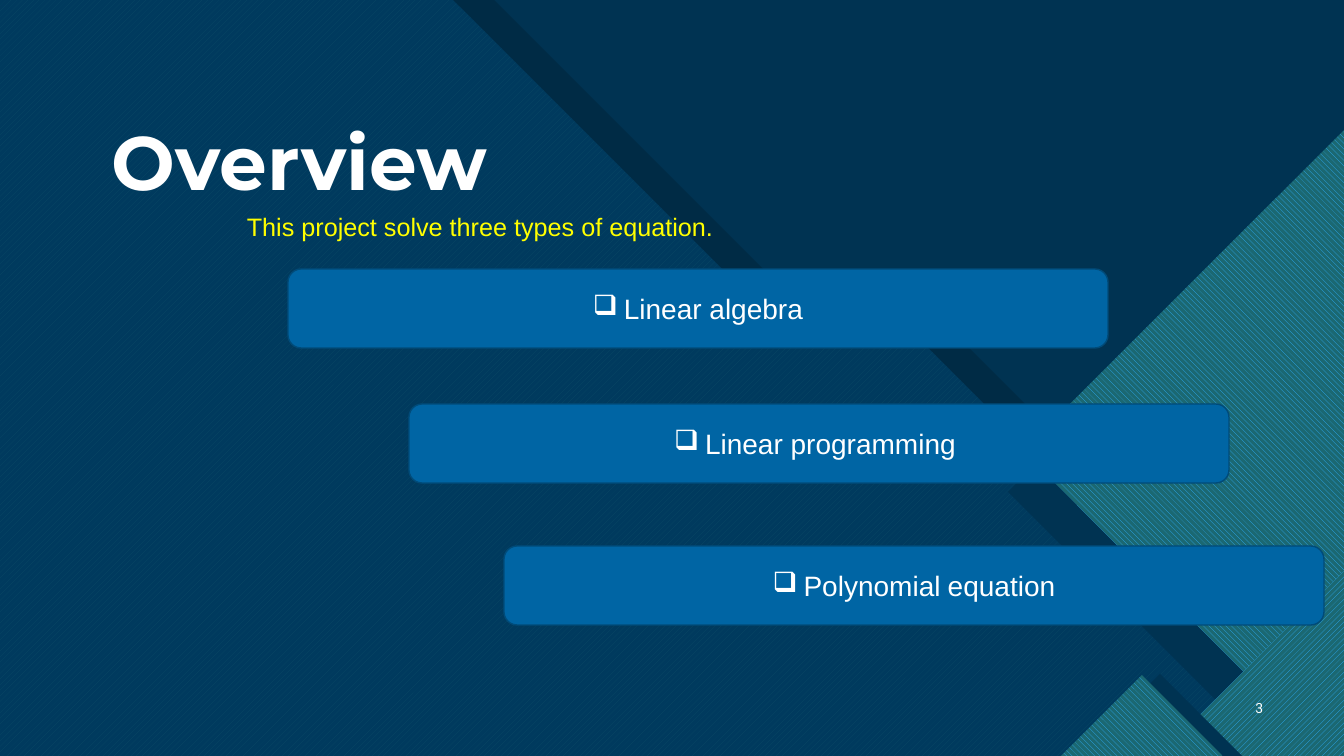
"""Build the Overview slide: diagonal backdrop, title and three stepped equation boxes."""
from lxml.etree import SubElement
from pptx import Presentation
from pptx.dml.color import RGBColor
from pptx.enum.dml import MSO_PATTERN as PAT
from pptx.enum.shapes import MSO_SHAPE as SHAPE
from pptx.enum.text import MSO_ANCHOR as ANCHOR, PP_ALIGN as ALIGN
from pptx.oxml.ns import qn
from pptx.util import Pt

SCALE = 914400 / 100.8
WIDTH, HEIGHT = 1344, 756
NAVY, BLUE, EDGE, WHITE, YELLOW = "003352", "0065A4", "004B79", "FFFFFF", "FFFF00"
UP, DOWN = PAT.WIDE_UPWARD_DIAGONAL, PAT.WIDE_DOWNWARD_DIAGONAL
TEAL_UP, TEAL_DOWN = (UP, "2FAFFF", "1B6872"), (DOWN, "2FAFFF", "1B6872")

STEP_Y, STEP_W = 299, 127
BANDS = [
    (494, "000000", 100),
    (453, (UP, "47C3D3", BLUE), 100),
    (700, NAVY, 85),
]
FACETS = [
    ([(1344, 156), (1344, 714), (1230, 714), (1008, 492)], NAVY),
    ([(1344, 130), (1344, 743), (1315, 743), (1023, 451)], TEAL_DOWN),
    ([(1344, 571), (1344, 756), (1159, 756)], TEAL_UP),
    ([(1242, 756), (1160, 674), (1078, 756)], NAVY),
    ([(1061, 756), (1142, 675), (1223, 756)], TEAL_DOWN),
]
TEXTS = [
    ((102, 117, 858, 95), "Overview", 54, "Montserrat", WHITE, True, ALIGN.LEFT, ANCHOR.BOTTOM, 0.9),
    ((1229, 688, 44, 40), "3", 10, "Roboto", WHITE, False, ALIGN.RIGHT, ANCHOR.MIDDLE, 1.0),
    ((237, 206, 491, 40), "This project solve three types of equation.", 18, "Arial", YELLOW, False,
     ALIGN.LEFT, ANCHOR.TOP, 1.0),
]
BOX_W, BOX_H, BULLET_INDENT = 820, 79, 31
BOXES = [
    (288, 269, [("Linear algebra", 20)]),
    (409, 404, [("Linear programming ", 20)]),
    (504, 546, [("Polynomial", 20), (" ", 18), ("equation", 20)]),
]


def px(n):
    return round(n * SCALE)


def rgb(code):
    return RGBColor.from_string(code)


def paint(sp, fill, alpha=100):
    sp.shadow.inherit = False
    if isinstance(fill, tuple):
        sp.fill.patterned()
        sp.fill.pattern = fill[0]
        sp.fill.fore_color.rgb = rgb(fill[1])
        sp.fill.back_color.rgb = rgb(fill[2])
    else:
        sp.fill.solid()
        sp.fill.fore_color.rgb = rgb(fill)
    if alpha < 100:
        color = sp.fill._xPr.find(".//" + qn("a:srgbClr"))
        SubElement(color, qn("a:alpha"), val=str(alpha * 1000))


def add_polygon(s, points, fill, alpha=100):
    builder = s.shapes.build_freeform(*points[0], scale=SCALE)
    builder.add_line_segments(points[1:], close=True)
    sp = builder.convert_to_shape()
    paint(sp, fill, alpha)
    sp.line.fill.background()


def band_points(top_x):
    knee = top_x + STEP_Y
    ledge = knee + STEP_W
    drop = min(WIDTH - ledge, HEIGHT - STEP_Y)
    end = (ledge + drop, STEP_Y + drop)
    return [(0, 0), (top_x, 0), (knee, STEP_Y), (ledge, STEP_Y), end, (end[0], HEIGHT), (0, HEIGHT)]


def add_run(p, text, size, font, color, bold=False):
    r = p.add_run()
    r.text = text
    r.font.size, r.font.name, r.font.bold = Pt(size), font, bold
    r.font.color.rgb = rgb(color)


def add_text(s, at, text, size, font, color, bold, align, anchor, spacing):
    tf = s.shapes.add_textbox(*map(px, at)).text_frame
    tf.word_wrap = True
    tf.vertical_anchor = anchor
    p = tf.paragraphs[0]
    p.alignment, p.line_spacing = align, spacing
    add_run(p, text, size, font, color, bold)


def add_box(s, x, y, runs):
    sp = s.shapes.add_shape(SHAPE.FLOWCHART_ALTERNATE_PROCESS, px(x), px(y), px(BOX_W), px(BOX_H))
    paint(sp, BLUE)
    sp.line.color.rgb = rgb(EDGE)
    sp.line.width = Pt(1)
    tf = sp.text_frame
    tf.word_wrap = True
    tf.vertical_anchor = ANCHOR.MIDDLE
    p = tf.paragraphs[0]
    p.alignment = ALIGN.CENTER
    props = p._p.get_or_add_pPr()
    props.set("marL", str(px(BULLET_INDENT)))
    props.set("indent", str(-px(BULLET_INDENT)))
    SubElement(props, qn("a:buChar"), char="❑")
    for text, size in runs:
        add_run(p, text, size, "Arial", WHITE)


def main():
    prs = Presentation()
    prs.slide_width, prs.slide_height = px(WIDTH), px(HEIGHT)
    s = prs.slides.add_slide(prs.slide_layouts[6])
    s.background.fill.solid()
    s.background.fill.fore_color.rgb = rgb(NAVY)
    for top_x, fill, alpha in BANDS:
        add_polygon(s, band_points(top_x), fill, alpha)
    for points, fill in FACETS:
        add_polygon(s, points, fill)
    for text in TEXTS:
        add_text(s, *text)
    for box in BOXES:
        add_box(s, *box)
    prs.save("out.pptx")


if __name__ == "__main__":
    main()
